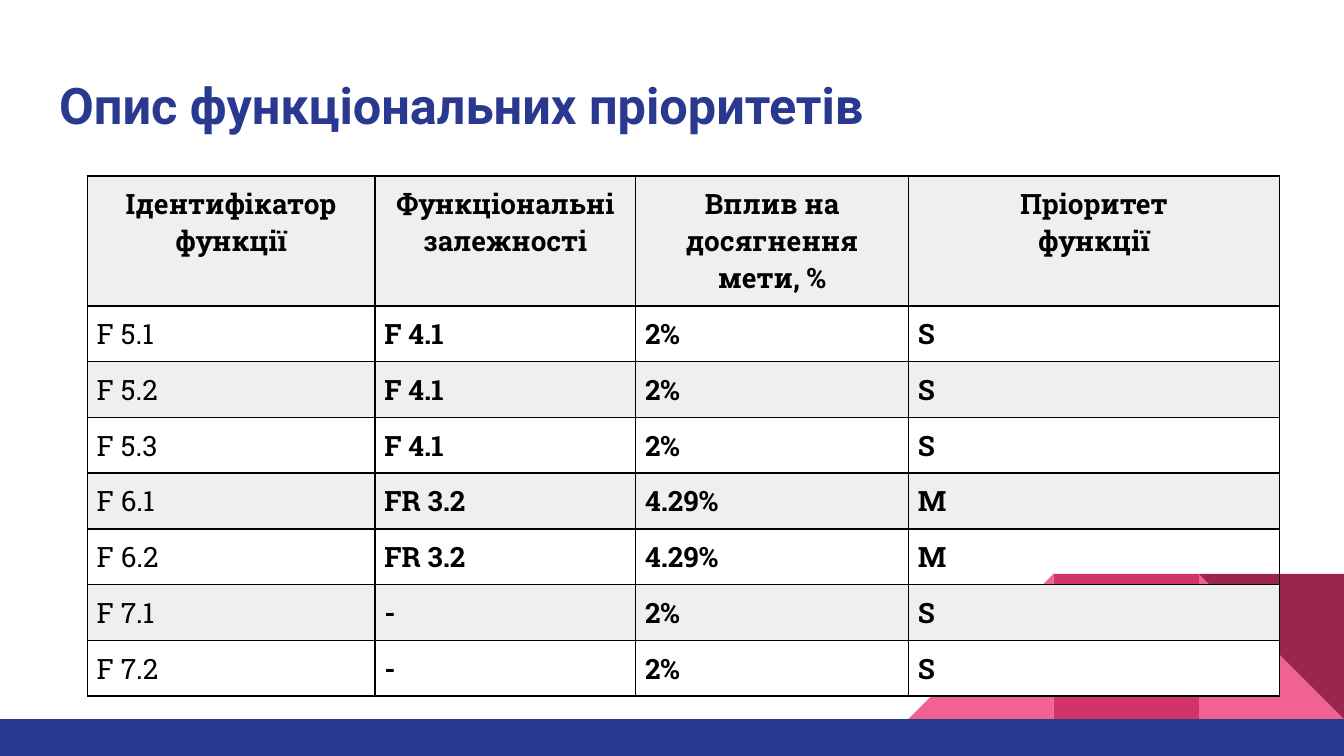
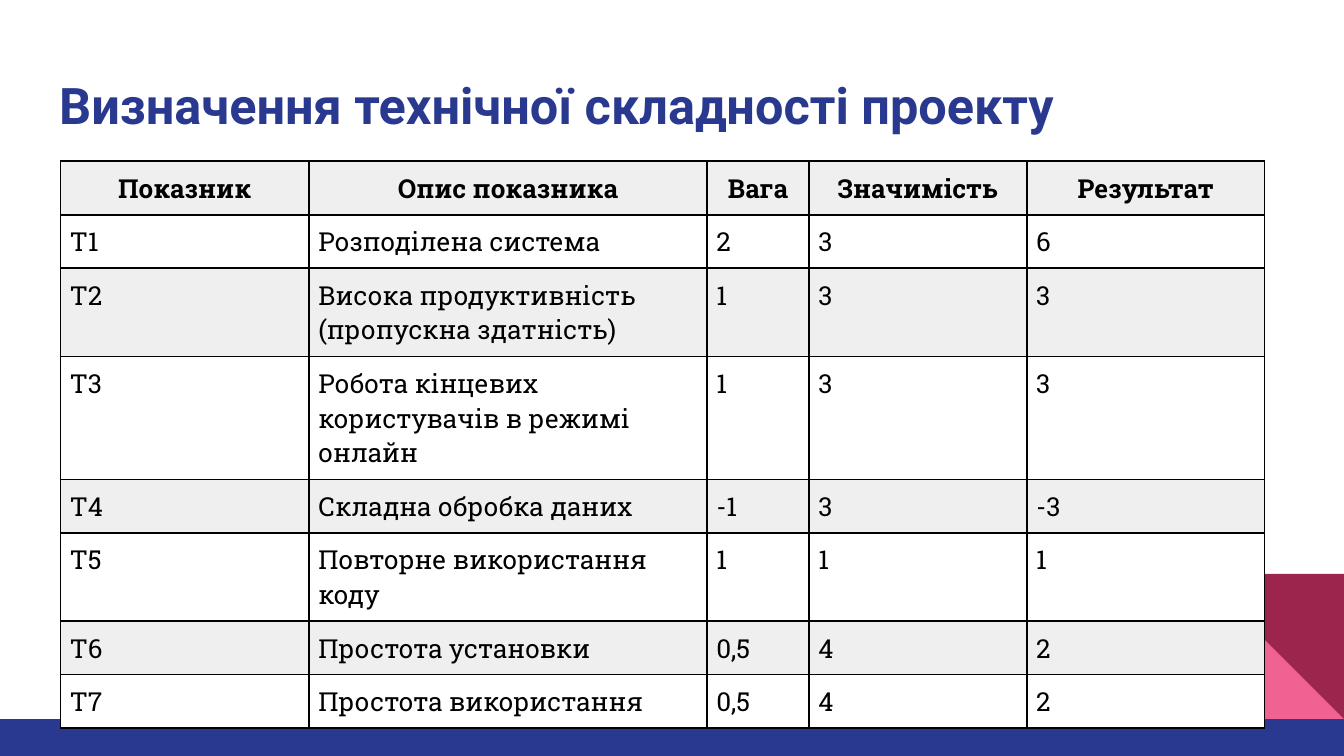
from lxml import etree
from pptx import Presentation
from pptx.dml.color import RGBColor
from pptx.enum.shapes import MSO_SHAPE
from pptx.enum.text import MSO_ANCHOR, MSO_AUTO_SIZE, PP_ALIGN
from pptx.oxml.ns import qn
from pptx.util import Inches, Pt

RECTANGLE, TRIANGLE = MSO_SHAPE.RECTANGLE, MSO_SHAPE.RIGHT_TRIANGLE
LEFT, CENTER = PP_ALIGN.LEFT, PP_ALIGN.CENTER
TOP = MSO_ANCHOR.TOP
NO_AUTOFIT = MSO_AUTO_SIZE.NONE

COLORS = {
    "navy": "2A3990",
    "pink": "F06292",
    "crimson": "D23369",
    "wine": "9C254D",
    "band": "EFEFEF",
    "white": "FFFFFF",
    "black": "000000",
}
TITLE_FONT, TABLE_FONT = "Roboto", "Roboto Slab"
SLIDE_W = 10
SLIDE_H = SLIDE_W * 9 / 16
FOOTER_TOP, TILE = 5.35, 1.08
TITLE_PAD, CELL_PAD = Inches(0.1), Inches(0.07)

PRIORITIES = [
    ["Ідентифікатор\nфункції", "Функціональні\nзалежності",
     "Вплив на\nдосягнення\nмети, %", "Пріоритет\nфункції"],
    ["F 5.1", "F 4.1", "2%", "S"],
    ["F 5.2", "F 4.1", "2%", "S"],
    ["F 5.3", "F 4.1", "2%", "S"],
    ["F 6.1", "FR 3.2", "4.29%", "M"],
    ["F 6.2", "FR 3.2", "4.29%", "M"],
    ["F 7.1", "-", "2%", "S"],
    ["F 7.2", "-", "2%", "S"],
]
COMPLEXITY = [
    ["Показник", "Опис показника", "Вага", "Значимість", "Результат"],
    ["T1", "Розподілена система", "2", "3", "6"],
    ["T2", "Висока продуктивність (пропускна здатність)", "1", "3", "3"],
    ["T3", "Робота кінцевих користувачів в режимі онлайн", "1", "3", "3"],
    ["T4", "Складна обробка даних", "-1", "3", "-3"],
    ["T5", "Повторне використання коду", "1", "1", "1"],
    ["T6", "Простота установки", "0,5", "4", "2"],
    ["T7", "Простота використання", "0,5", "4", "2"],
]


def rgb(name):
    return RGBColor.from_string(COLORS[name])


def set_margins(target, size):
    target.margin_left = target.margin_right = size
    target.margin_top = target.margin_bottom = size


def format_text(frame, font_name, size, color, bold, align):
    for paragraph in frame.paragraphs:
        paragraph.alignment = align
        for run in paragraph.runs:
            run.font.name = font_name
            run.font.size = Pt(size)
            run.font.bold = bold
            run.font.color.rgb = rgb(color)


def add_block(slide, kind, left, top, width, height, color):
    block = slide.shapes.add_shape(
        kind, Inches(left), Inches(top), Inches(width), Inches(height))
    block.shadow.inherit = False
    block.fill.solid()
    block.fill.fore_color.rgb = rgb(color)
    block.line.fill.background()
    return block


def add_corner_and_footer(slide):
    tile_top = FOOTER_TOP - TILE
    right, middle, left = (SLIDE_W - TILE * n for n in (1, 2, 3))
    add_block(slide, TRIANGLE, right, tile_top, TILE, TILE, "pink")
    slope = add_block(slide, TRIANGLE, left, tile_top, TILE, TILE, "pink")
    slope.element.spPr.find(qn("a:xfrm")).set("flipH", "1")
    add_block(slide, RECTANGLE, middle, tile_top, TILE, TILE, "crimson")
    fold = add_block(slide, TRIANGLE, right, tile_top, TILE, TILE, "wine")
    fold.rotation = 180
    add_block(slide, RECTANGLE, 0, FOOTER_TOP, SLIDE_W,
              SLIDE_H - FOOTER_TOP, "navy")


def set_title(slide, text):
    title = slide.shapes.title
    title.left, title.top = Inches(0.34), Inches(0.45)
    title.width, title.height = Inches(9.32), Inches(0.66)
    frame = title.text_frame
    frame.text = text
    frame.word_wrap = True
    frame.auto_size = NO_AUTOFIT
    frame.vertical_anchor = TOP
    set_margins(frame, TITLE_PAD)
    format_text(frame, TITLE_FONT, 27, "navy", True, LEFT)


def add_borders(cell):
    properties = cell._tc.get_or_add_tcPr()
    for position, side in enumerate(("lnL", "lnR", "lnT", "lnB")):
        border = etree.Element(qn(f"a:{side}"), w=str(Pt(1)))
        fill = etree.SubElement(border, qn("a:solidFill"))
        etree.SubElement(fill, qn("a:srgbClr"), val=COLORS["black"])
        properties.insert(position, border)


def fill_cell(cell, row, first_white_row):
    """Even rows are grey; odd rows are clear until first_white_row."""
    if row % 2 and row < first_white_row:
        cell.fill.background()
    else:
        cell.fill.solid()
        cell.fill.fore_color.rgb = rgb("white" if row % 2 else "band")


def add_grid(slide, rows, left, top, widths, heights, size,
             bold_values, first_white_row):
    table = slide.shapes.add_table(
        len(rows), len(widths), Inches(left), Inches(top),
        Inches(sum(widths)), Inches(sum(heights))).table
    for column, width in zip(table.columns, widths):
        column.width = Inches(width)
    for r, (values, height) in enumerate(zip(rows, heights)):
        table.rows[r].height = Inches(height)
        for c, value in enumerate(values):
            cell = table.cell(r, c)
            cell.text_frame.text = value
            set_margins(cell, CELL_PAD)
            header = r == 0
            format_text(cell.text_frame, TABLE_FONT, size, "black",
                        header or (bold_values and c > 0),
                        CENTER if header else LEFT)
            fill_cell(cell, r, first_white_row)
            add_borders(cell)


def add_table_slide(prs, title, **grid):
    slide = prs.slides.add_slide(prs.slide_layouts[5])
    add_corner_and_footer(slide)
    set_title(slide, title)
    add_grid(slide, **grid)


def main():
    prs = Presentation()
    prs.slide_width, prs.slide_height = Inches(SLIDE_W), Inches(SLIDE_H)

    # Function priorities
    add_table_slide(
        prs, "Опис функціональних пріоритетів", rows=PRIORITIES,
        left=0.65, top=1.31, widths=[2.14, 1.94, 2.03, 2.76],
        heights=[0.96] + [0.41] * 7, size=15,
        bold_values=True, first_white_row=7)

    # Technical complexity
    add_table_slide(
        prs, "Визначення технічної складності проекту", rows=COMPLEXITY,
        left=0.45, top=1.2, widths=[1.85, 2.96, 0.76, 1.62, 1.77],
        heights=[0.39, 0.39, 0.65, 0.91, 0.39, 0.65, 0.39, 0.39], size=14,
        bold_values=False, first_white_row=5)

    prs.save("out.pptx")


if __name__ == "__main__":
    main()
